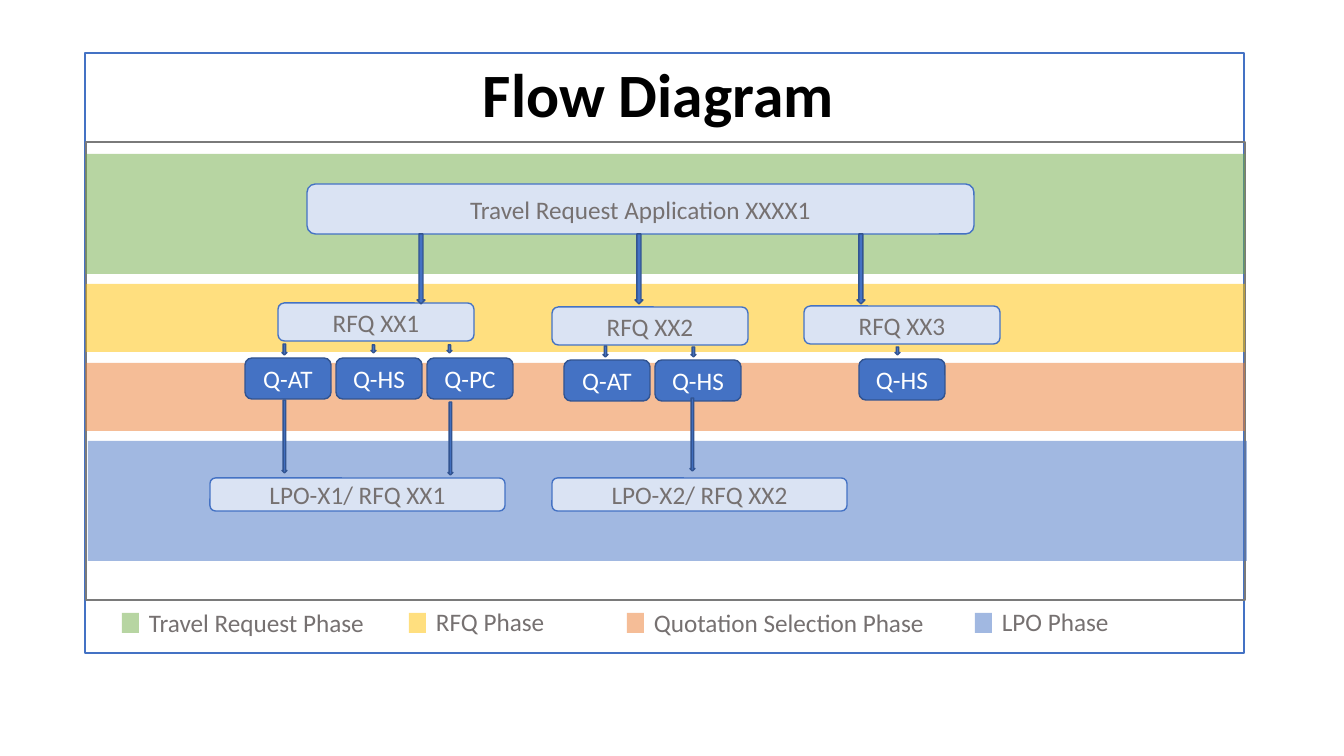
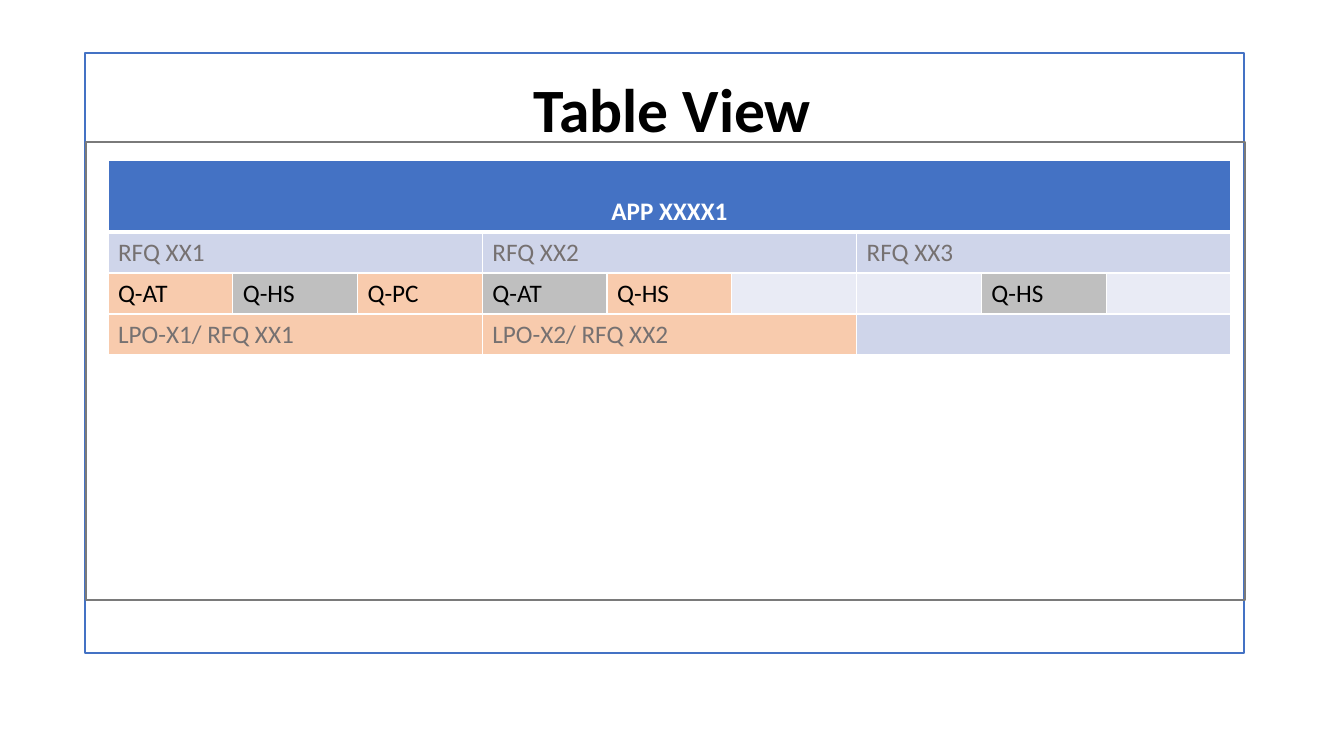
from dataclasses import dataclass

from lxml import etree
from pptx import Presentation
from pptx.dml.color import RGBColor
from pptx.enum.shapes import MSO_SHAPE
from pptx.enum.text import MSO_ANCHOR, PP_ALIGN
from pptx.oxml.ns import qn
from pptx.util import Pt

RECT = MSO_SHAPE.RECTANGLE
ROUNDED = MSO_SHAPE.ROUNDED_RECTANGLE
DOWN_ARROW = MSO_SHAPE.DOWN_ARROW
TOP, MIDDLE, BOTTOM = MSO_ANCHOR.TOP, MSO_ANCHOR.MIDDLE, MSO_ANCHOR.BOTTOM
LEFT, CENTER = PP_ALIGN.LEFT, PP_ALIGN.CENTER
EMU_PER_PX = 914400 / 100.8


@dataclass(frozen=True)
class Theme:
    """Colours and type sizes shared by both slides."""
    font: str = "Calibri"
    title_size: int = 44
    body_size: int = 18
    black: str = "000000"
    white: str = "FFFFFF"
    grey_text: str = "767171"
    frame_grey: str = "7A7A7A"
    blue: str = "4472C4"
    dark_blue: str = "325491"
    pale_blue: str = "DAE3F3"
    green: str = "70AD47"
    yellow: str = "FFC000"
    orange: str = "ED7D31"
    row_dark: str = "CFD5EA"
    row_light: str = "E9EBF5"
    chosen: str = "F8CBAD"
    rejected: str = "BFBFBF"


THEME = Theme()

# Phase: name, colour, band (left, top, height), legend (left, top, label width)
PHASES = [
    ("Travel Request Phase", THEME.green, (86, 154, 120), (122, 602, 265)),
    ("RFQ Phase", THEME.yellow, (86, 284, 68), (409, 601, 265)),
    ("Quotation Selection Phase", THEME.orange, (86, 363, 68), (627, 602, 301)),
    ("LPO Phase", THEME.blue, (88, 441, 120), (975, 601, 265)),
]

# RFQ: name, box (left, top), quotes (left, top), quote names,
# quote arrows (left, top, height)
RFQS = [
    ("RFQ XX1", (278, 303), (245, 358), ["Q-AT", "Q-HS", "Q-PC"],
     [(282, 344, 11), (371, 345, 8), (447, 345, 8)]),
    ("RFQ XX2", (552, 307), (564, 360), ["Q-AT", "Q-HS"],
     [(603, 346, 11), (691, 347, 10)]),
    ("RFQ XX3", (804, 306), (859, 359), ["Q-HS"],
     [(895, 347, 8)]),
]
ORDERS = [("LPO-X1/ RFQ XX1", 210), ("LPO-X2/ RFQ XX2", 552)]
REQUEST_ARROW_LEFTS = [417, 635, 857]
ORDER_ARROWS = [(282, 400), (448, 402), (690, 398)]
QUOTE_STEP = 91

# Table row: height, columns spanned by each cell, cells (text, fill)
TABLE_ROWS = [
    (72, 9, [("APP XXXX1", THEME.blue)]),
    (41, 3, [(rfq[0], THEME.row_dark) for rfq in RFQS]),
    (41, 1, [("Q-AT", THEME.chosen), ("Q-HS", THEME.rejected),
             ("Q-PC", THEME.chosen), ("Q-AT", THEME.rejected),
             ("Q-HS", THEME.chosen), ("", THEME.row_light),
             ("", THEME.row_light), ("Q-HS", THEME.rejected),
             ("", THEME.row_light)]),
    (41, 3, [(order[0], THEME.chosen) for order in ORDERS]
     + [("", THEME.row_dark)]),
]
TABLE_COLUMNS = 9


def px(length):
    """Turn pixels into EMU."""
    return round(length * EMU_PER_PX)


def rgb(colour):
    """Turn a hex string into a colour value."""
    return RGBColor.from_string(colour)


def write(frame, text, colour, size=THEME.body_size, bold=False, align=CENTER):
    """Put one formatted paragraph into a text frame and return it."""
    frame.text = text
    paragraph = frame.paragraphs[0]
    paragraph.alignment = align
    for run in paragraph.runs:
        run.font.name = THEME.font
        run.font.size = Pt(size)
        run.font.bold = bold
        run.font.color.rgb = rgb(colour)
    return paragraph


def add_shape(slide, kind, box, fill=None, line=None, opacity=None):
    """Add a preset shape, with optional fill, outline and opacity percent."""
    shape = slide.shapes.add_shape(kind, *map(px, box))
    shape.shadow.inherit = False
    if fill:
        shape.fill.solid()
        shape.fill.fore_color.rgb = rgb(fill)
    else:
        shape.fill.background()
    if line:
        shape.line.color.rgb = rgb(line)
        shape.line.width = Pt(1)
    else:
        shape.line.fill.background()
    if opacity:
        colour = shape.fill._xPr.find(qn("a:solidFill"))[0]
        etree.SubElement(colour, qn("a:alpha"), val=str(opacity * 1000))
    return shape


def add_box(slide, box, text, fill=THEME.pale_blue, line=THEME.blue,
            colour=THEME.grey_text):
    """Add a rounded step of the flow with a centred label."""
    frame = add_shape(slide, ROUNDED, box, fill, line).text_frame
    frame.vertical_anchor = MIDDLE
    frame.word_wrap = True
    write(frame, text, colour)


def add_arrow(slide, left, top, width, height):
    """Add a block arrow that points down."""
    add_shape(slide, DOWN_ARROW, (left, top, width, height),
              THEME.blue, THEME.dark_blue)


def add_label(slide, box, text, anchor=TOP, wrap=True, **style):
    """Add a text box and return its paragraph."""
    frame = slide.shapes.add_textbox(*map(px, box)).text_frame
    frame.word_wrap = wrap
    frame.vertical_anchor = anchor
    return write(frame, text, **style)


def add_title(slide, box, text, anchor=TOP, wrap=True):
    """Add a slide title in the shared style."""
    return add_label(slide, box, text, anchor, wrap, colour=THEME.black,
                     size=THEME.title_size, bold=True)


def add_framed_slide(prs):
    """Add a blank slide with the outer and inner frames."""
    slide = prs.slides.add_slide(prs.slide_layouts[6])
    add_shape(slide, RECT, (85, 53, 1159, 600), THEME.white, THEME.blue)
    add_shape(slide, RECT, (86, 142, 1159, 458), line=THEME.frame_grey)
    return slide


def add_phases(slide):
    """Add the phase bands and their legend."""
    for name, colour, band, legend in PHASES:
        band_left, band_top, band_height = band
        add_shape(slide, RECT, (band_left, band_top, 1159, band_height),
                  colour, opacity=50)
        left, top, width = legend
        add_shape(slide, RECT, (left, 613, 17, 20), colour, opacity=50)
        add_label(slide, (left + 17, top, width, 40), name,
                  colour=THEME.grey_text, align=LEFT)


def add_rfq(slide, name, corner, quotes_corner, quotes, arrows):
    """Add one RFQ with its quotes and the arrows to them."""
    add_box(slide, (*corner, 196, 38), name)
    left, top = quotes_corner
    for index, quote in enumerate(quotes):
        add_box(slide, (left + index * QUOTE_STEP, top, 86, 41), quote,
                THEME.blue, THEME.dark_blue, THEME.white)
    for arrow_left, arrow_top, height in arrows:
        add_arrow(slide, arrow_left, arrow_top, 5, height)


def set_borders(cell, top, bottom):
    """Give a cell white borders; top and bottom widths are in points."""
    properties = cell._tc.get_or_add_tcPr()
    for side, width in (("L", 1), ("R", 1), ("T", top), ("B", bottom)):
        border = etree.SubElement(properties, qn(f"a:ln{side}"),
                                  w=str(Pt(width)))
        fill = etree.SubElement(border, qn("a:solidFill"))
        etree.SubElement(fill, qn("a:srgbClr"), val=THEME.white)


def add_request_table(slide):
    """Add the table of the request, its RFQs, quotes and orders."""
    total_height = sum(height for height, _, _ in TABLE_ROWS)
    table = slide.shapes.add_table(
        len(TABLE_ROWS), TABLE_COLUMNS,
        *map(px, (108, 160, 1123, total_height))).table
    for row, (height, span, cells) in enumerate(TABLE_ROWS):
        table.rows[row].height = px(height)
        header = row == 0
        for column in range(TABLE_COLUMNS):
            set_borders(table.cell(row, column), 3 if row == 1 else 1,
                        3 if header else 1)
        for index, (text, fill) in enumerate(cells):
            first = index * span
            cell = table.cell(row, first)
            if span > 1:
                cell.merge(table.cell(row, first + span - 1))
            cell.fill.solid()
            cell.fill.fore_color.rgb = rgb(fill)
            cell.vertical_anchor = BOTTOM if header else TOP
            if header:
                colour = THEME.white
            else:
                colour = THEME.black if span == 1 else THEME.grey_text
            write(cell.text_frame, text, colour, bold=header,
                  align=CENTER if header else LEFT)


def build_flow_slide(prs):
    """Build the flow from travel request to purchase orders."""
    slide = add_framed_slide(prs)
    add_phases(slide)
    add_title(slide, (471, 51, 375, 85), "Flow Diagram", wrap=False)
    add_box(slide, (307, 184, 667, 50), "Travel Request Application XXXX1")
    for rfq in RFQS:
        add_rfq(slide, *rfq)
    for name, left in ORDERS:
        add_box(slide, (left, 478, 295, 33), name)
    for left in REQUEST_ARROW_LEFTS:
        add_arrow(slide, left, 234, 8, 70)
    for left, top in ORDER_ARROWS:
        add_arrow(slide, left, top, 5, 73)


def build_table_slide(prs):
    """Build the table view of the same request."""
    slide = add_framed_slide(prs)
    title = add_title(slide, (93, 40, 1159, 146), "Table View", MIDDLE)
    title.line_spacing = 0.9
    add_request_table(slide)


def main():
    """Build and save the presentation."""
    prs = Presentation()
    prs.slide_width, prs.slide_height = px(1344), px(756)
    build_flow_slide(prs)
    build_table_slide(prs)
    prs.save("out.pptx")


main()
